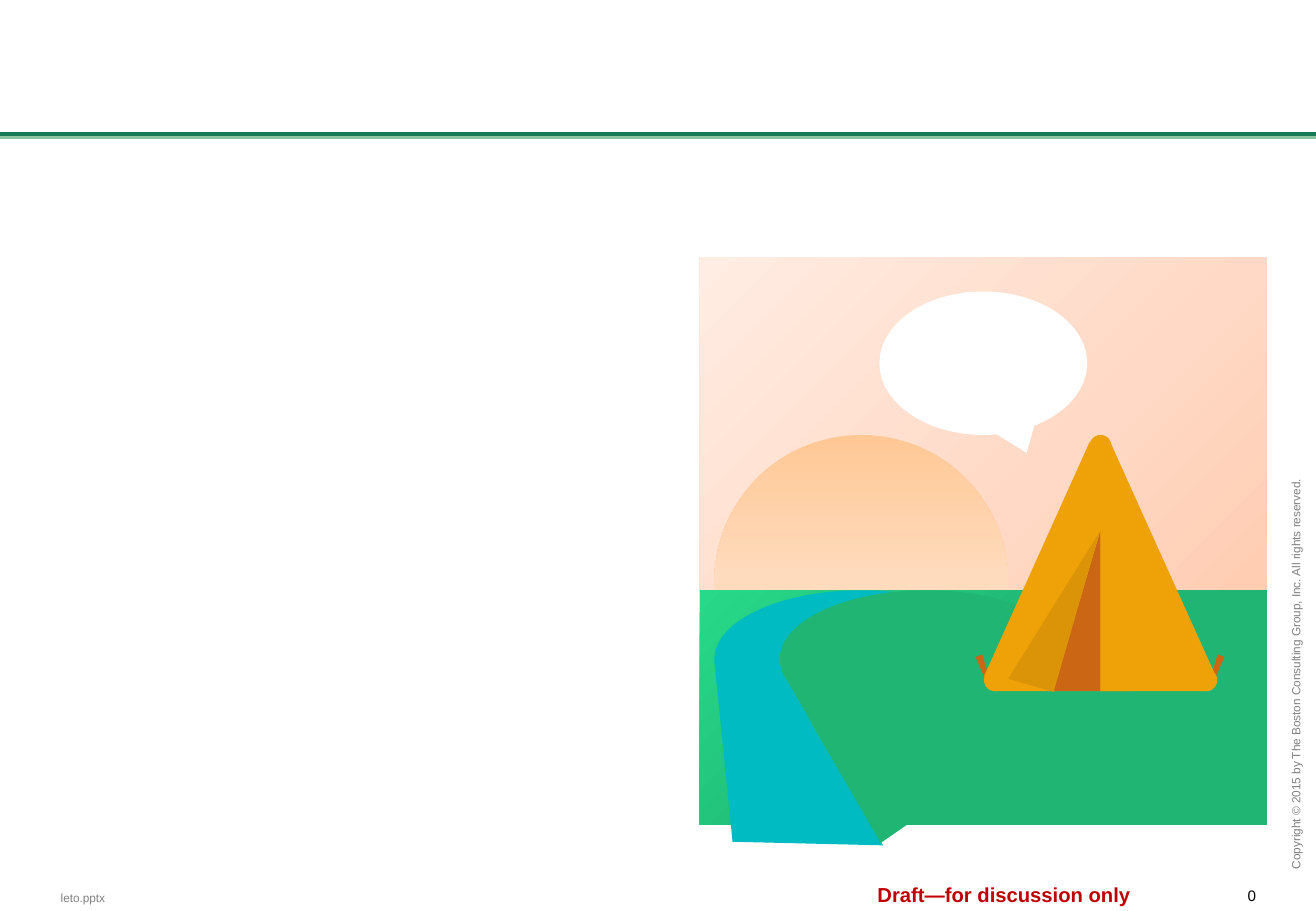
from dataclasses import dataclass

from lxml import etree
from pptx import Presentation
from pptx.dml.color import RGBColor
from pptx.enum import shapes, text
from pptx.oxml import ns
from pptx.util import Pt

KIND = shapes.MSO_SHAPE
ALIGN = text.PP_ALIGN
ANCHOR = text.MSO_ANCHOR


@dataclass(frozen=True)
class Theme:
    font: str = "Arial"
    small: float = 7
    number: float = 9
    stamp: float = 12
    black: str = "000000"
    grey: str = "808080"
    red: str = "C00000"
    white: str = "FFFFFF"
    rule: str = "177B57"
    rule_shadow: str = "8EC6A1"
    water: str = "00BBC1"
    grass: str = "20B573"
    tent: str = "EFA207"
    door: str = "CA6614"
    flap: str = "DB9407"
    sky: tuple = ("FFC4A2", "FFD9C5", "FFECE2")
    sun: tuple = ("FFC895", "FFDBBE", "FFEDDF")
    meadow: tuple = ("20B573", "20B573", "27D988")


THEME = Theme()


def add_xml(parent, tag, **attributes):
    return etree.SubElement(parent, ns.qn(tag), attributes)


def paint(shape, fill):
    shape.shadow.inherit = False
    shape.line.fill.background()
    shape.fill.solid()
    shape.fill.fore_color.rgb = RGBColor.from_string(fill)
    return shape


def paint_gradient(shape, colors, angle=None):
    """Three even stops: linear at an angle, or round from the lower right."""
    paint(shape, colors[0])
    gradient = etree.Element(ns.qn("a:gradFill"), rotWithShape="1")
    stops = add_xml(gradient, "a:gsLst")
    for index, color in enumerate(colors):
        stop = add_xml(stops, "a:gs", pos=str(index * 50000))
        add_xml(stop, "a:srgbClr", val=color)
    if angle is None:
        circle = add_xml(gradient, "a:path", path="circle")
        add_xml(circle, "a:fillToRect", l="100000", t="100000")
    else:
        add_xml(gradient, "a:lin", ang=str(angle * 60000), scaled="0")
    properties = shape._element.spPr
    properties.replace(properties.find(ns.qn("a:solidFill")), gradient)


def add_figure(page, kind, box, fill, angle=None, rotation=0, mirrored=False):
    shape = page.shapes.add_shape(kind, *map(Pt, box))
    shape.rotation = rotation
    if mirrored:
        shape._element.spPr.find(ns.qn("a:xfrm")).set("flipH", "1")
    if isinstance(fill, tuple):
        paint_gradient(shape, fill, angle)
    else:
        paint(shape, fill)


def add_outline(page, points, fill):
    start, *rest = [(Pt(x), Pt(y)) for x, y in points]
    builder = page.shapes.build_freeform(*start)
    builder.add_line_segments(rest, close=True)
    paint(builder.convert_to_shape(), fill)


def add_label(page, words, box, size, color, align=ALIGN.LEFT,
              anchor=ANCHOR.TOP, bold=False, margins=(0, 0), rotation=0):
    label = page.shapes.add_textbox(*map(Pt, box))
    label.rotation = rotation
    frame = label.text_frame
    frame.word_wrap = True
    frame.vertical_anchor = anchor
    frame.margin_left = frame.margin_right = Pt(margins[0])
    frame.margin_top = frame.margin_bottom = Pt(margins[1])
    para = frame.paragraphs[0]
    para.text = words
    para.alignment = align
    para.font.name = THEME.font
    para.font.size = Pt(size)
    para.font.bold = bold
    para.font.color.rgb = RGBColor.from_string(color)


def add_title_rule(page, width, y):
    rule = page.shapes.add_connector(
        shapes.MSO_CONNECTOR.STRAIGHT, Pt(width), Pt(y), Pt(0), Pt(y))
    rule.line.color.rgb = RGBColor.from_string(THEME.rule)
    rule.line.width = Pt(2.25)
    effects = add_xml(rule._element.spPr, "a:effectLst")
    shadow = add_xml(effects, "a:outerShdw", dist=str(Pt(2)),
                     dir="5400000", algn="ctr", rotWithShape="0")
    add_xml(shadow, "a:srgbClr", val=THEME.rule_shadow)


def add_page_frame(page):
    add_label(page, "leto.pptx", (36, 527.8, 50.4, 8.6), THEME.small,
              THEME.grey, anchor=ANCHOR.MIDDLE)
    add_title_rule(page, 780, 79.2)
    add_label(page, "0", (729.4, 525.6, 15.1, 10), THEME.number,
              THEME.black, align=ALIGN.RIGHT)
    add_label(page, "Draft—for discussion only", (517.7, 522.7, 154.8, 14.4),
              THEME.stamp, THEME.red, align=ALIGN.CENTER, bold=True)
    add_label(page, "Copyright © 2015 by The Boston Consulting Group, Inc. "
              "All rights reserved.", (588.2, 334.8, 359.3, 15.8),
              THEME.small, THEME.grey, anchor=ANCHOR.BOTTOM,
              margins=(7.2, 3.6), rotation=270)


def add_landscape(page):
    left, horizon, width = 414.7, 349.9, 336.2
    add_figure(page, KIND.RECTANGLE, (left, 152.6, width, width),
               THEME.sky, angle=225)
    add_figure(page, KIND.OVAL, (423.4, 257.8, 174.2, 174.2),
               THEME.sun, angle=90)
    add_figure(page, KIND.RECTANGLE, (left, horizon, width, 139), THEME.meadow)
    # River bend, with the hill covering its right side
    for x, color in ((423.4, THEME.water), (462.2, THEME.grass)):
        add_figure(page, KIND.OVAL, (x, horizon, 174.2, 81.4), color)
    add_outline(page, [(423.4, 391.7), (434.2, 499), (523.4, 501.1),
                       (460.1, 393.8)], THEME.water)
    add_outline(page, [(522, 499.7), (464.4, 399.6), (488.9, 386.6),
                       (560.9, 398.2), (578.2, 460.8)], THEME.grass)


def add_tent(page):
    # Pegs behind the canvas
    for x, turn in ((581, 160), (718.6, 200)):
        add_figure(page, KIND.TRAPEZOID, (x, 388.1, 4.3, 17.3),
                   THEME.door, rotation=turn)
    # Canvas with three rounded corners
    add_figure(page, KIND.ISOSCELES_TRIANGLE, (589.7, 270.7, 125.3, 139),
               THEME.tent)
    for x, y in ((645.8, 257.8), (583.2, 396.7), (708.5, 396.7)):
        add_figure(page, KIND.OVAL, (x, y, 13, 13), THEME.tent)
    add_outline(page, [(645.8, 262.1), (658.1, 262.1), (720.7, 401),
                       (583.2, 401)], THEME.tent)
    # Door and its open flap
    add_figure(page, KIND.RIGHT_TRIANGLE, (624.2, 314.6, 28.1, 95),
               THEME.door, mirrored=True)
    add_figure(page, KIND.RECTANGLE, (652.3, 303.1, 17.3, 106.6), THEME.tent)
    add_figure(page, KIND.RIGHT_TRIANGLE, (610.6, 309.6, 28.1, 98.6),
               THEME.flap, rotation=16, mirrored=True)


def main():
    deck = Presentation()
    deck.slide_width, deck.slide_height = Pt(780), Pt(540)
    page = deck.slides.add_slide(deck.slide_layouts[6])
    add_page_frame(page)
    add_landscape(page)
    add_tent(page)
    # Speech bubble
    add_figure(page, KIND.OVAL_CALLOUT, (521.3, 172.8, 123.1, 85),
               THEME.white, mirrored=True)
    deck.save("out.pptx")


if __name__ == "__main__":
    main()
